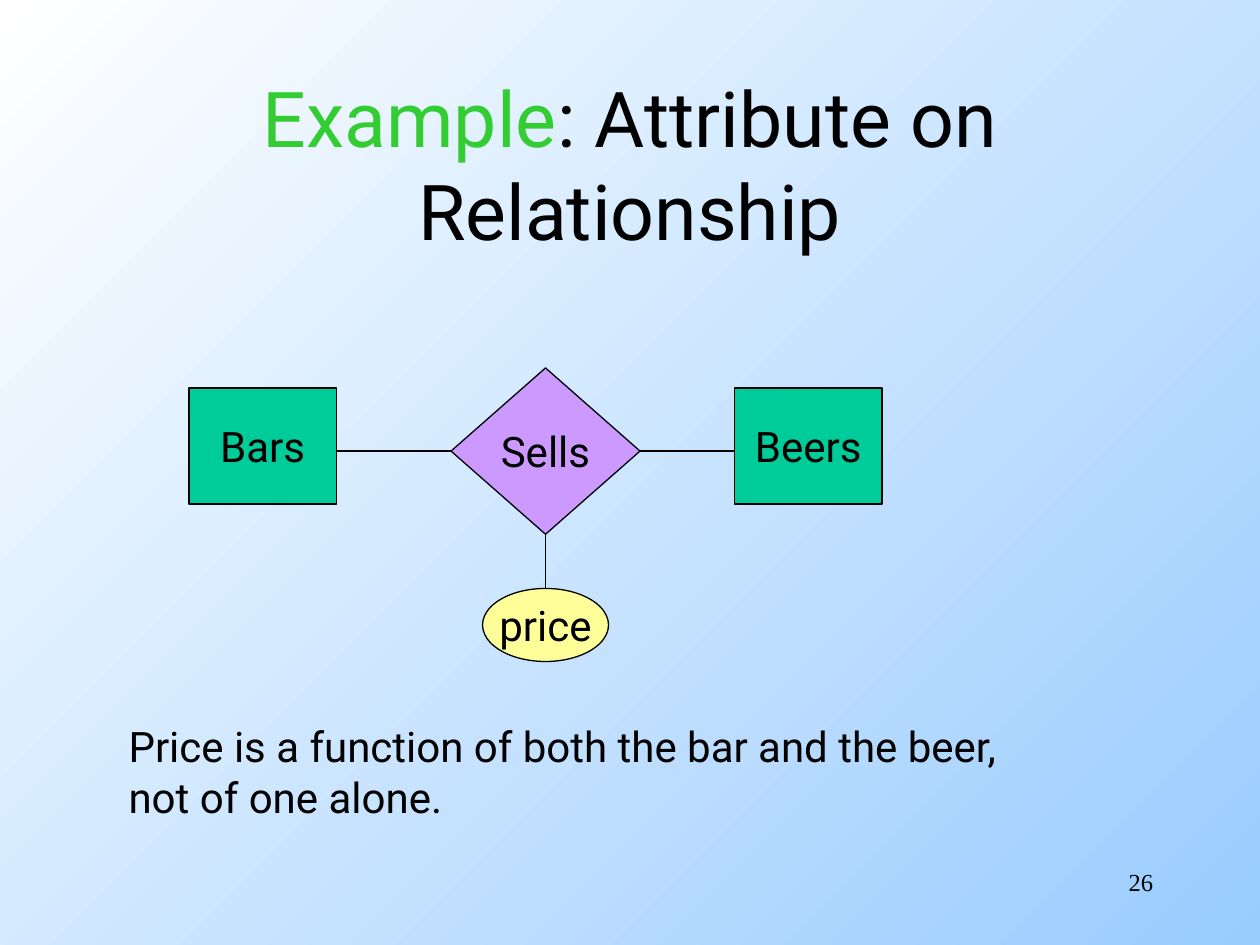
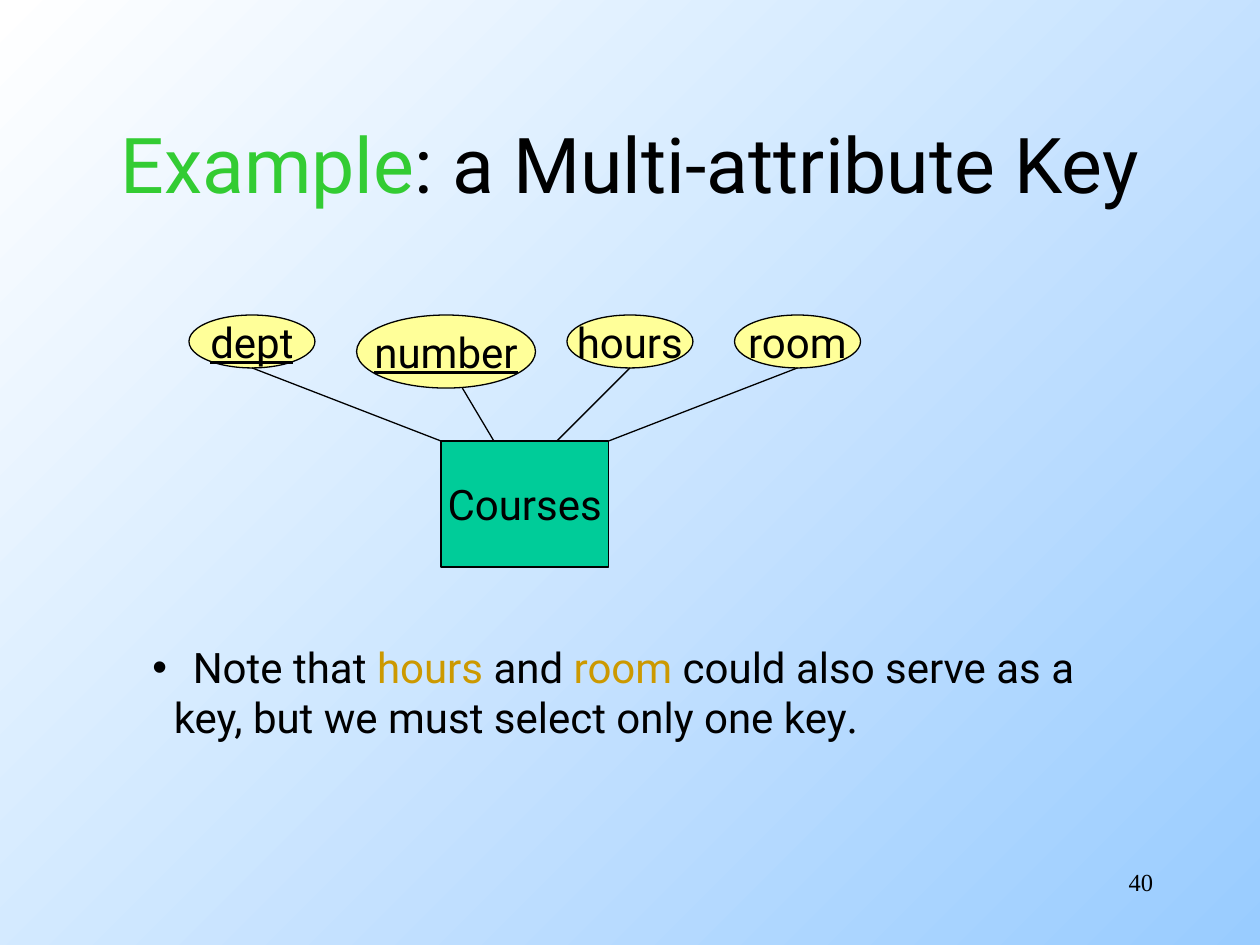
from lxml.etree import SubElement
from pptx import Presentation
from pptx.dml.color import RGBColor
from pptx.enum.shapes import MSO_CONNECTOR, MSO_SHAPE
from pptx.enum.text import MSO_ANCHOR, MSO_AUTO_SIZE, PP_ALIGN
from pptx.oxml.ns import qn
from pptx.util import Inches, Pt

SKY = RGBColor(0x99, 0xCC, 0xFF)
WHITE = RGBColor(0xFF, 0xFF, 0xFF)
BLACK = RGBColor(0, 0, 0)
LIME = RGBColor(0x33, 0xCC, 0x33)
TEAL = RGBColor(0x00, 0xCC, 0x99)
LILAC = RGBColor(0xCC, 0x99, 0xFF)
CREAM = RGBColor(0xFF, 0xFF, 0x99)
GOLD = RGBColor(0xCC, 0x99, 0x00)

SANS = "Roboto"
SERIF = "Times New Roman"


def add_run(para, text, size=24, color=BLACK, name=SANS, under=None):
    run = para.add_run()
    run.text = text
    font = run.font
    font.size, font.name, font.underline = Pt(size), name, under
    font.color.rgb = color


def place(shape, left, top, width, height):
    shape.left, shape.top = Inches(left), Inches(top)
    shape.width, shape.height = Inches(width), Inches(height)


def paint_master(prs):
    """Give every slide the same diagonal gradient."""
    fill = prs.slide_master.background.fill
    fill.gradient()
    fill.gradient_angle = 135
    for stop, color in zip(fill.gradient_stops, (SKY, WHITE)):
        stop.color.rgb = color


def add_slide(prs, topic, number):
    """Start a slide with its title and page number."""
    slide = prs.slides.add_slide(prs.slide_layouts[1])
    title = slide.shapes.title
    place(title, 0.75, 0.67, 8.5, 1.25)
    frame = title.text_frame
    frame.auto_size = MSO_AUTO_SIZE.NONE
    frame.vertical_anchor = MSO_ANCHOR.MIDDLE
    para = frame.paragraphs[0]
    para.alignment = PP_ALIGN.CENTER
    add_run(para, "Example", 44, LIME)
    add_run(para, ": " + topic, 44)

    box = slide.shapes.add_textbox(
        Inches(7.17), Inches(6.83), Inches(2.08), Inches(0.5))
    box.text_frame.word_wrap = True
    para = box.text_frame.paragraphs[0]
    para.alignment = PP_ALIGN.RIGHT
    add_run(para, str(number), 14, name=SERIF)
    return slide


def add_node(slide, kind, fill, text, left, top, width, height, under=None):
    """Draw one labelled part of the diagram."""
    node = slide.shapes.add_shape(
        kind, Inches(left), Inches(top), Inches(width), Inches(height))
    node.shadow.inherit = False
    node.fill.solid()
    node.fill.fore_color.rgb = fill
    node.line.color.rgb = BLACK
    node.line.width = Pt(0.75)
    frame = node.text_frame
    frame.word_wrap = False
    frame.vertical_anchor = MSO_ANCHOR.MIDDLE
    para = frame.paragraphs[0]
    para.alignment = PP_ALIGN.CENTER
    add_run(para, text, under=under)
    return node


def add_entity(slide, text, *area):
    return add_node(slide, MSO_SHAPE.RECTANGLE, TEAL, text, *area)


def add_field(slide, text, *area, under=None):
    """Draw an attribute; the parts of a key are underlined."""
    return add_node(slide, MSO_SHAPE.OVAL, CREAM, text, *area, under=under)


def add_line(slide, start, end):
    line = slide.shapes.add_connector(
        MSO_CONNECTOR.STRAIGHT, *map(Inches, start + end))
    line.line.color.rgb = BLACK
    line.line.width = Pt(0.75)
    SubElement(line._element.spPr, qn("a:effectLst"))
    return line


def add_note(slide, area, rows):
    """Fill the body; a row is (left margin, has bullet, runs)."""
    body = slide.placeholders[1]
    place(body, *area)
    frame = body.text_frame
    frame.auto_size = MSO_AUTO_SIZE.NONE
    for i, (margin, dot, runs) in enumerate(rows):
        para = frame.add_paragraph() if i else frame.paragraphs[0]
        para.space_before = Pt(0)
        props = para._p.get_or_add_pPr()
        props.set("marL", str(Inches(margin)))
        props.set("indent", str(-Inches(margin) if dot else 0))
        if not dot:
            SubElement(props, qn("a:buNone"))
        for text, color, name in runs:
            add_run(para, text, color=color, name=name)


def draw_sells(prs):
    slide = add_slide(prs, "Attribute on Relationship", 26)
    add_entity(slide, "Bars", 1.5, 3.08, 1.17, 0.92)
    add_entity(slide, "Beers", 5.83, 3.08, 1.17, 0.92)
    sells = add_node(slide, MSO_SHAPE.DIAMOND, LILAC, "Sells",
                     3.58, 2.92, 1.5, 1.32)
    price = add_field(slide, "price", 3.83, 4.67, 1, 0.58)
    add_line(slide, (5.08, 3.58), (5.83, 3.58)).begin_connect(sells, 3)
    add_line(slide, (3.58, 3.58), (2.67, 3.58)).begin_connect(sells, 1)
    stem = add_line(slide, (4.33, 4.24), (4.33, 4.67))
    stem.begin_connect(sells, 2)
    stem.end_connect(price, 0)
    add_note(slide, (0.92, 5.67, 7.52, 1.3), [
        (0, False, [("Price is a function of both the bar and the beer,",
                     BLACK, SANS)]),
        (0, False, [("not of one alone.", BLACK, SANS)]),
    ])


def draw_courses(prs):
    slide = add_slide(prs, "a Multi-attribute Key", 40)
    add_entity(slide, "Courses", 3.5, 3.5, 1.33, 1)
    fields = [
        ("dept", 1.5, 1, 0.42, True, 2, 3.5),
        ("number", 2.83, 1.42, 0.58, True, 3.67, 3.92),
        ("hours", 4.5, 1, 0.42, None, 5, 4.42),
        ("room", 5.83, 1, 0.42, None, 6.33, 4.83),
    ]
    top = 2.5
    for text, left, width, height, key, start, end in fields:
        add_field(slide, text, left, top, width, height, under=key)
        add_line(slide, (start, top + height), (end, 3.5))
    add_note(slide, (1.11, 5.04, 7.81, 0.9), [
        (0.32, True, [("Note that ", BLACK, SANS), ("hours", GOLD, SANS),
                      (" and ", BLACK, SANS), ("room", GOLD, SANS),
                      (" could also serve as a", BLACK, SANS)]),
        (0.17, False, [("key, but we must select only one key", BLACK, SANS),
                       (".", BLACK, SERIF)]),
    ])


def main():
    prs = Presentation()
    prs.slide_width, prs.slide_height = Inches(10), Inches(7.5)
    paint_master(prs)
    draw_sells(prs)
    draw_courses(prs)
    prs.save("out.pptx")


if __name__ == "__main__":
    main()
